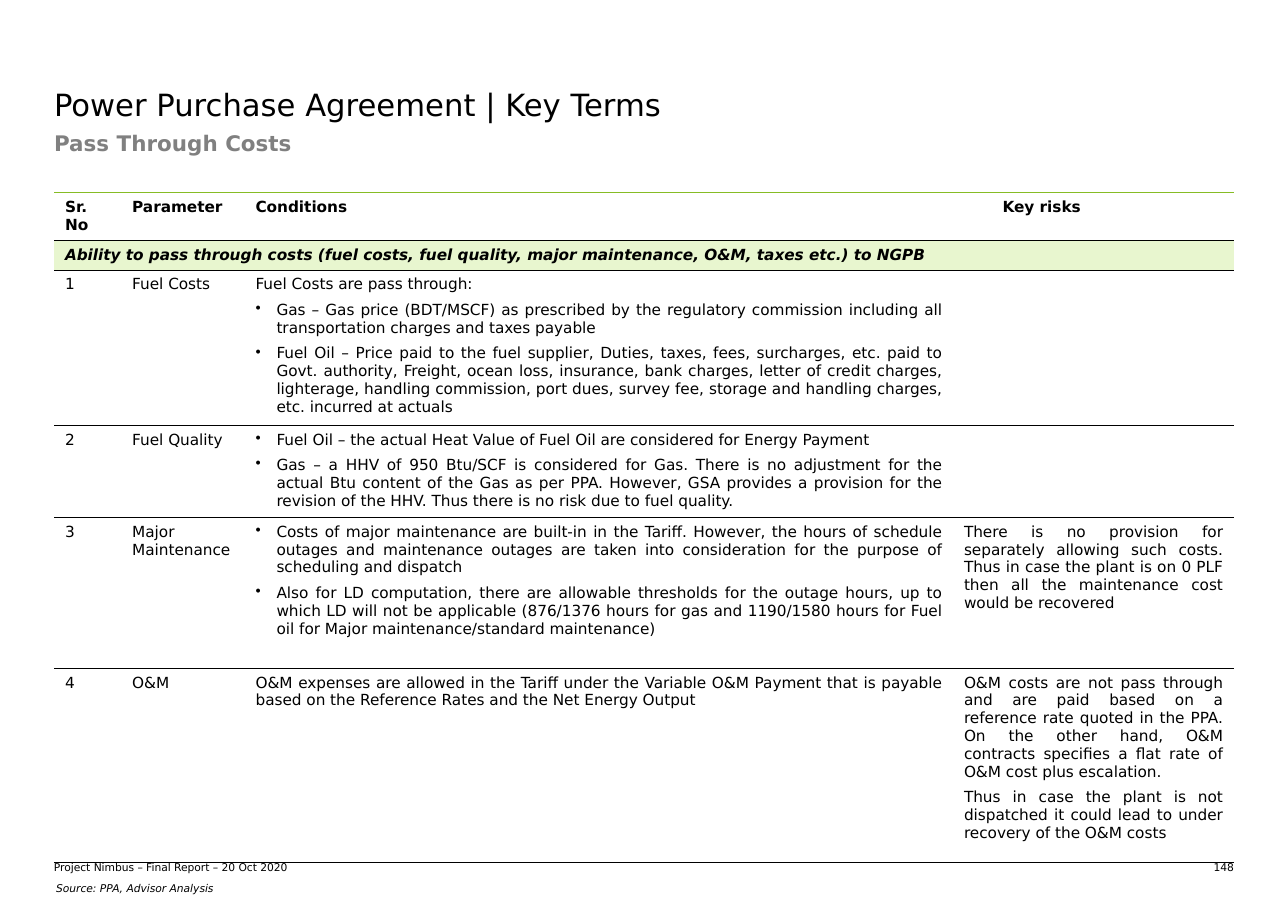
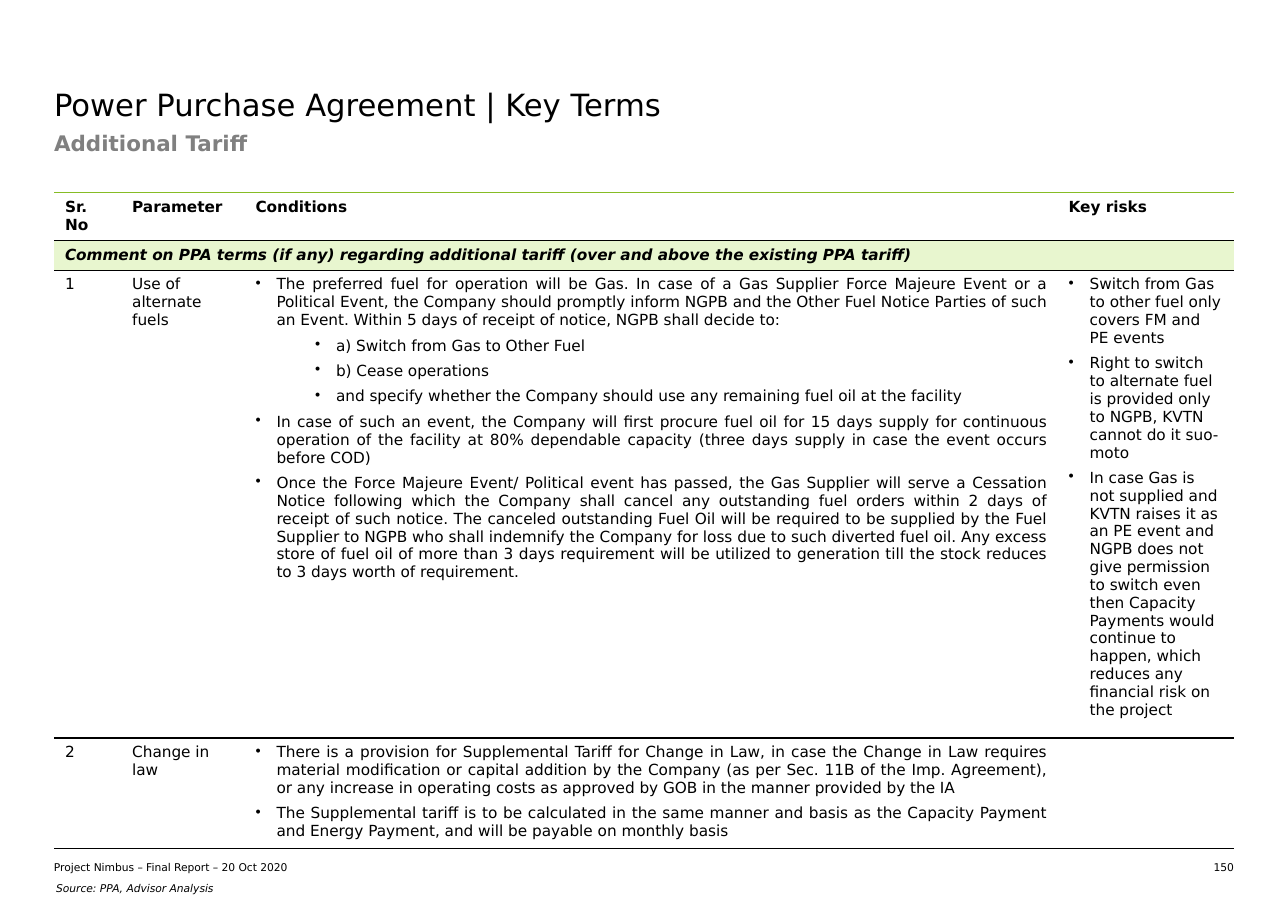
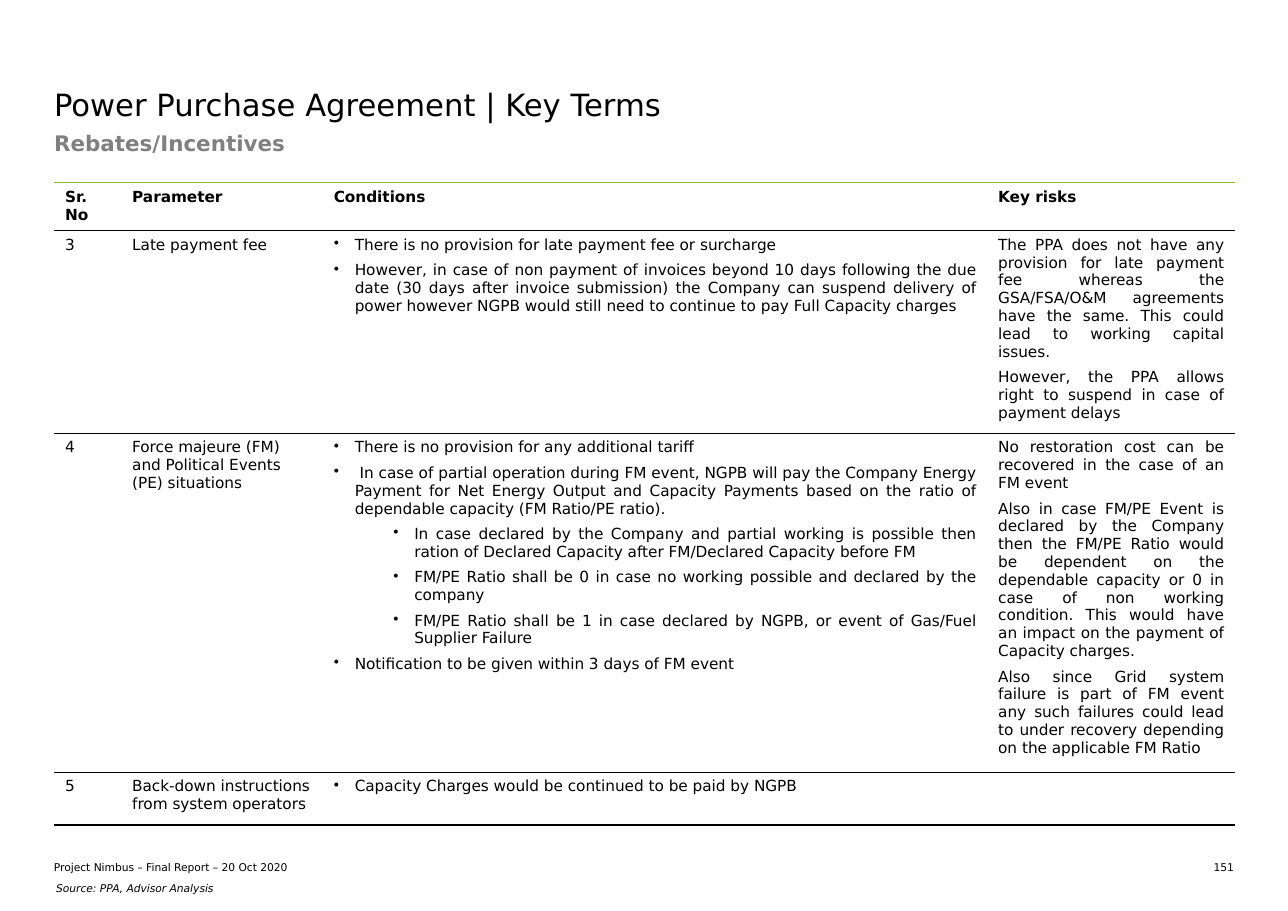
from lxml.etree import SubElement
from pptx import Presentation
from pptx.dml.color import RGBColor as RGB
from pptx.enum.text import MSO_ANCHOR as ANCHOR, PP_ALIGN as ALIGN
from pptx.oxml.ns import qn
from pptx.util import Inches, Pt

FONT = "DejaVu Sans"
COLORS = {"ink": "000000", "grey": "808080", "green": "86BC25", "band": "E8F6CF"}
LEFT, WIDTH = 0.49, 10.71
HEADER = ["Sr. No", "Parameter", "Conditions", "Key risks"]
ALIGNS = {"j": ALIGN.JUSTIFY, "l": ALIGN.LEFT}
INDENTS = {1: 0.19, 2: 0.73}

SLIDES = [
    {
        "subtitle": "Pass Through Costs", "page": "148", "top": 1.75, "aligns": "jjjj",
        "cols": [0.61, 1.12, 6.43, 0.35, 2.2],
        "heights": [0.42, 0.27, 1.37, 0.82, 1.37, 1.76],
        "rows": [
            ["Ability to pass through costs (fuel costs, fuel quality, major maintenance, O&M, taxes etc.) to NGPB"],
            ["1", "Fuel Costs", [
                "Fuel Costs are pass through:",
                "•Gas – Gas price (BDT/MSCF) as prescribed by the regulatory commission including all transportation charges and taxes payable",
                "•Fuel Oil – Price paid to the fuel supplier, Duties, taxes, fees, surcharges, etc. paid to Govt. authority, Freight, ocean loss, insurance, bank charges, letter of credit charges, lighterage, handling commission, port dues, survey fee, storage and handling charges, etc. incurred at actuals",
            ], ""],
            ["2", "Fuel Quality", [
                "•Fuel Oil – the actual Heat Value of Fuel Oil are considered for Energy Payment",
                "•Gas – a HHV of 950 Btu/SCF is considered for Gas. There is no adjustment for the actual Btu content of the Gas as per PPA. However, GSA provides a provision for the revision of the HHV. Thus there is no risk due to fuel quality.",
            ], ""],
            ["3", "Major Maintenance", [
                "•Costs of major maintenance are built-in in the Tariff. However, the hours of schedule outages and maintenance outages are taken into consideration for the purpose of scheduling and dispatch",
                "•Also for LD computation, there are allowable thresholds for the outage hours, up to which LD will not be applicable (876/1376 hours for gas and 1190/1580 hours for Fuel oil for Major maintenance/standard maintenance)",
            ], "There is no provision for separately allowing such costs. Thus in case the plant is on 0 PLF then all the maintenance cost would be recovered"],
            ["4", "O&M",
             "O&M expenses are allowed in the Tariff under the Variable O&M Payment that is payable based on the Reference Rates and the Net Energy Output", [
                "O&M costs are not pass through and are paid based on a reference rate quoted in the PPA. On the other hand, O&M contracts specifies a flat rate of O&M cost plus escalation.",
                "Thus in case the plant is not dispatched it could lead to under recovery of the O&M costs",
            ]],
        ],
    },
    {
        "subtitle": "Additional Tariff", "page": "150", "top": 1.75, "aligns": "lljl",
        "cols": [0.61, 1.12, 7.38, 1.6],
        "heights": [0.42, 0.27, 4.12, 0.98],
        "rows": [
            ["Comment on PPA terms (if any) regarding additional tariff (over and above the existing PPA tariff)"],
            ["1", "Use of alternate fuels", [
                "•The preferred fuel for operation will be Gas. In case of a Gas Supplier Force Majeure Event or a Political Event, the Company should promptly inform NGPB and the Other Fuel Notice Parties of such an Event. Within 5 days of receipt of notice, NGPB shall decide to:",
                "••a) Switch from Gas to Other Fuel",
                "••b) Cease operations",
                "••and specify whether the Company should use any remaining fuel oil at the facility",
                "•In case of such an event, the Company will first procure fuel oil for 15 days supply for continuous operation of the facility at 80% dependable capacity (three days supply in case the event occurs before COD)",
                "•Once the Force Majeure Event/ Political event has passed, the Gas Supplier will serve a Cessation Notice following which the Company shall cancel any outstanding fuel orders within 2 days of receipt of such notice. The canceled outstanding Fuel Oil will be required to be supplied by the Fuel Supplier to NGPB who shall indemnify the Company for loss due to such diverted fuel oil. Any excess store of fuel oil of more than 3 days requirement will be utilized to generation till the stock reduces to 3 days worth of requirement.",
            ], [
                "•Switch from Gas to other fuel only covers FM and PE events",
                "•Right to switch to alternate fuel is provided only to NGPB, KVTN cannot do it suo-moto",
                "•In case Gas is not supplied and KVTN raises it as an PE event and NGPB does not give permission to switch even then Capacity Payments would continue to happen, which reduces any financial risk on the project",
            ]],
            ["2", "Change in law", [
                "•There is a provision for Supplemental Tariff for Change in Law, in case the Change in Law requires material modification or capital addition by the Company (as per Sec. 11B of the Imp. Agreement), or any increase in operating costs as approved by GOB in the manner provided by the IA",
                "•The Supplemental tariff is to be calculated in the same manner and basis as the Capacity Payment and Energy Payment, and will be payable on monthly basis",
            ], ""],
        ],
    },
    {
        "subtitle": "Rebates/Incentives", "page": "151", "top": 1.66, "aligns": "lljj",
        "cols": [0.61, 1.83, 6.03, 2.25],
        "heights": [0.42, 1.79, 2.99, 0.48],
        "rows": [
            ["3", "Late payment fee", [
                "•There is no provision for late payment fee or surcharge",
                "•However, in case of non payment of invoices beyond 10 days following the due date (30 days after invoice submission) the Company can suspend delivery of power however NGPB would still need to continue to pay Full Capacity charges",
            ], [
                "The PPA does not have any provision for late payment fee whereas the GSA/FSA/O&M agreements have the same. This could lead to working capital issues.",
                "However, the PPA allows right to suspend in case of payment delays",
            ]],
            ["4", "Force majeure (FM) and Political Events (PE) situations", [
                "•There is no provision for any additional tariff",
                "• In case of partial operation during FM event, NGPB will pay the Company Energy Payment for Net Energy Output and Capacity Payments based on the ratio of dependable capacity (FM Ratio/PE ratio).",
                "••In case declared by the Company and partial working is possible then ration of Declared Capacity after FM/Declared Capacity before FM",
                "••FM/PE Ratio shall be 0 in case no working possible and declared by the company",
                "••FM/PE Ratio shall be 1 in case declared by NGPB, or event of Gas/Fuel Supplier Failure",
                "•Notification to be given within 3 days of FM event",
            ], [
                "No restoration cost can be recovered in the case of an FM event",
                "Also in case FM/PE Event is declared by the Company then the FM/PE Ratio would be dependent on the dependable capacity or 0 in case of non working condition. This would have an impact on the payment of Capacity charges.",
                "Also since Grid system failure is part of FM event any such failures could lead to under recovery depending on the applicable FM Ratio",
            ]],
            ["5", "Back-down instructions from system operators",
             ["•Capacity Charges would be continued to be paid by NGPB"], ""],
        ],
    },
]


def style(p, size, color="ink", bold=False, italic=False, align=ALIGN.LEFT):
    p.alignment = align
    for r in p.runs:
        r.font.name, r.font.size = FONT, Pt(size)
        r.font.bold, r.font.italic = bold, italic
        r.font.color.rgb = RGB.from_string(COLORS[color])


def add_border(cell, side, color=None):
    ln = SubElement(cell._tc.get_or_add_tcPr(), qn(f"a:ln{side}"), w=str(Pt(1)))
    if color:
        fill = SubElement(ln, qn("a:solidFill"))
        SubElement(fill, qn("a:srgbClr"), val=COLORS[color])
    else:
        SubElement(ln, qn("a:noFill"))


prs = Presentation()
prs.slide_width, prs.slide_height = Inches(11.69), Inches(8.27)

for data in SLIDES:
    s = prs.slides.add_slide(prs.slide_layouts[6])

    labels = [
        ("Power Purchase Agreement | Key Terms", (LEFT, 0.71, WIDTH, 0.47), ANCHOR.MIDDLE, {"size": 20}),
        (data["subtitle"], (LEFT, 1.18, WIDTH, 0.57), ANCHOR.TOP, {"size": 14, "color": "grey", "bold": True}),
        ("Project Nimbus – Final Report – 20 Oct 2020", (LEFT, 7.81, 4.83, 0.12), ANCHOR.BOTTOM, {"size": 7}),
        (data["page"], (10.75, 7.81, 0.45, 0.12), ANCHOR.TOP, {"size": 7, "align": ALIGN.RIGHT}),
        ("Source: PPA, Advisor Analysis", (0.51, 7.94, WIDTH, 0.25), ANCHOR.MIDDLE, {"size": 7, "italic": True}),
    ]
    for text, box, anchor, look in labels:
        tf = s.shapes.add_textbox(*map(Inches, box)).text_frame
        tf.word_wrap, tf.vertical_anchor = True, anchor
        tf.margin_left = tf.margin_right = tf.margin_top = tf.margin_bottom = 0
        tf.text = text
        style(tf.paragraphs[0], **look)

    rows, cols, heights = [HEADER] + data["rows"], data["cols"], data["heights"]
    n = len(cols)
    tbl = s.shapes.add_table(len(rows), n, Inches(LEFT), Inches(data["top"]),
                             Inches(WIDTH), Inches(sum(heights))).table
    tbl.first_row = tbl.horz_banding = False
    for col, width in zip(tbl.columns, cols):
        col.width = Inches(width)

    for i, row in enumerate(rows):
        tbl.rows[i].height = Inches(heights[i])
        header, band = i == 0, len(row) == 1
        for cell in tbl.rows[i].cells:
            add_border(cell, "L")
            add_border(cell, "R")
            add_border(cell, "T", "green" if header else "ink")
            add_border(cell, "B", "ink")
            if band:
                cell.fill.solid()
                cell.fill.fore_color.rgb = RGB.from_string(COLORS["band"])
            else:
                cell.fill.background()

        starts = [0, 1, 2, n - 1 if header else 3][:len(row)]
        for start, end, content, align in zip(starts, starts[1:] + [n], row, data["aligns"]):
            cell = tbl.cell(i, start)
            if end - start > 1:
                cell.merge(tbl.cell(i, end - 1))
            lines = [content] if isinstance(content, str) else content
            tf = cell.text_frame
            tf.text = "\n".join(line.lstrip("•") for line in lines)
            for p, line in zip(tf.paragraphs, lines):
                level = len(line) - len(line.lstrip("•"))
                if level:
                    pPr = p._p.get_or_add_pPr()
                    pPr.set("marL", str(Inches(INDENTS[level])))
                    pPr.set("indent", str(-Inches(INDENTS[1])))
                    SubElement(pPr, qn("a:buChar"), char="•")
                    p.level = level - 1
                p.space_after = Pt(5)
                style(p, 10, bold=header or band, italic=band, align=ALIGNS[align])

prs.save("out.pptx")
